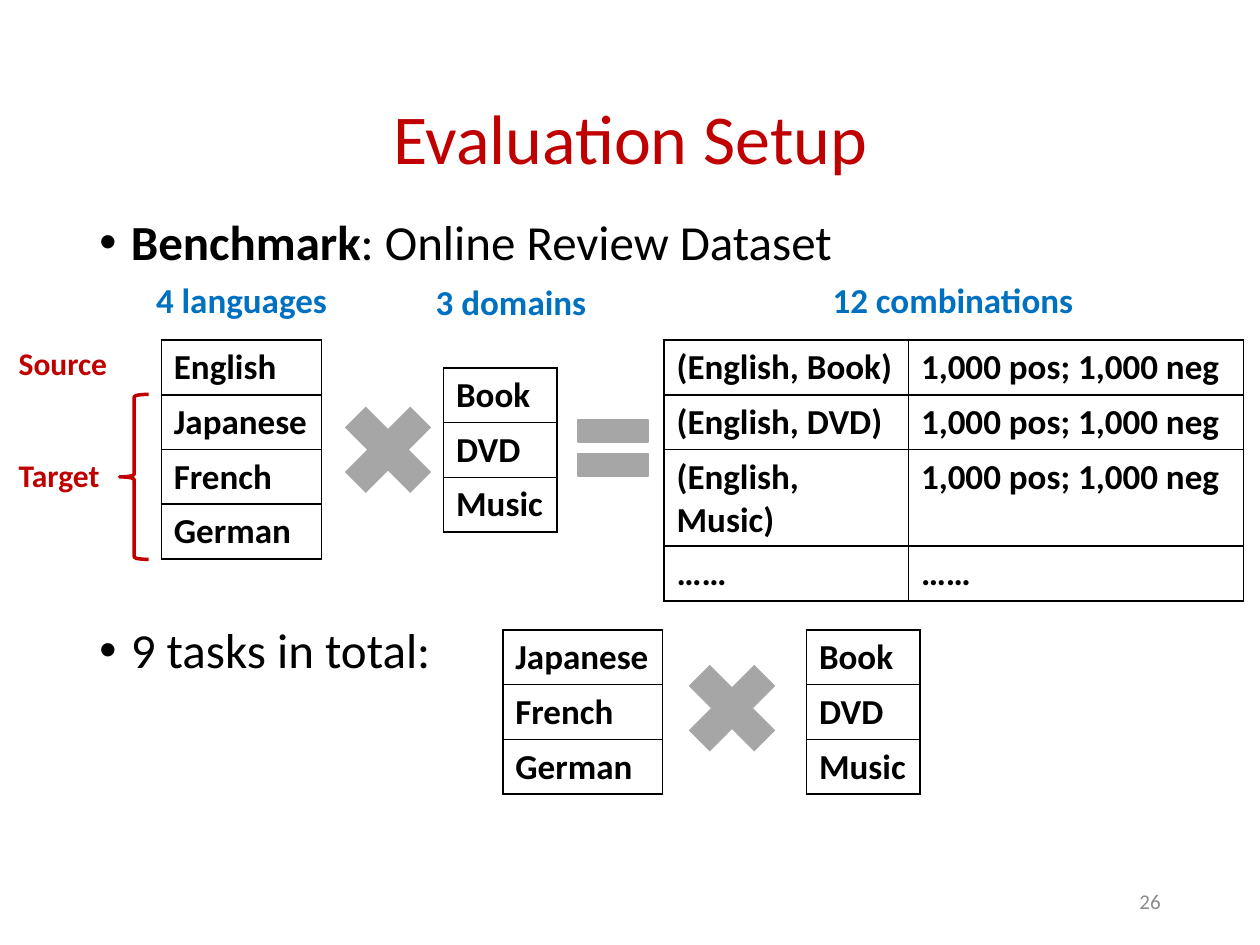
from lxml.etree import SubElement
from pptx import Presentation
from pptx.dml.color import RGBColor
from pptx.enum.shapes import MSO_SHAPE
from pptx.enum.text import MSO_ANCHOR, PP_ALIGN
from pptx.oxml.ns import qn
from pptx.util import Inches, Pt

FONT = "Calibri"
BLACK, RED, BLUE = "000000", "C00000", "0070C0"
GRAY, NUMBER_GRAY = "A6A6A6", "8C8C8C"
ROW_HEIGHT = 0.43

TARGETS = ["Japanese", "French", "German"]
DOMAINS = ["Book", "DVD", "Music"]


def color(value):
    return RGBColor.from_string(value)


def add_run(paragraph, text, size, hex_color=BLACK, bold=False):
    run = paragraph.add_run()
    run.text = text
    run.font.name = FONT
    run.font.size = Pt(size)
    run.font.bold = bold
    run.font.color.rgb = color(hex_color)


def add_text(slide, box, runs, size, hex_color=BLACK, align=PP_ALIGN.LEFT,
             anchor=MSO_ANCHOR.TOP, wrap=False):
    """Add a one-paragraph text box; runs holds (text, bold) pairs."""
    shape = slide.shapes.add_textbox(*map(Inches, box))
    frame = shape.text_frame
    frame.word_wrap = wrap
    frame.vertical_anchor = anchor
    paragraph = frame.paragraphs[0]
    paragraph.alignment = align
    for text, bold in runs:
        add_run(paragraph, text, size, hex_color, bold)
    return paragraph


def add_bullet(slide, box, runs, wrap=False):
    paragraph = add_text(slide, box, runs, 28, wrap=wrap)
    paragraph.line_spacing = 0.9
    paragraph.space_before = Pt(10)
    properties = paragraph._p.get_or_add_pPr()
    properties.set("marL", str(Inches(0.25)))
    properties.set("indent", str(-Inches(0.25)))
    SubElement(properties, qn("a:buFont"), typeface="Arial")
    SubElement(properties, qn("a:buChar"), char="•")


def add_borders(cell):
    properties = cell._tc.get_or_add_tcPr()
    for index, side in enumerate(("lnL", "lnR", "lnT", "lnB")):
        line = SubElement(properties, qn(f"a:{side}"), w=str(Pt(1)))
        fill = SubElement(line, qn("a:solidFill"))
        SubElement(fill, qn("a:srgbClr"), val=BLACK)
        properties.insert(index, line)


def add_grid(slide, left, top, widths, rows):
    frame = slide.shapes.add_table(
        len(rows), len(widths), Inches(left), Inches(top),
        Inches(sum(widths)), Inches(ROW_HEIGHT * len(rows)))
    table = frame.table
    table.first_row = table.horz_banding = False
    for column, width in zip(table.columns, widths):
        column.width = Inches(width)
    for row, texts in zip(table.rows, rows):
        row.height = Inches(ROW_HEIGHT)
        for cell, text in zip(row.cells, texts):
            cell.fill.background()
            add_borders(cell)
            add_run(cell.text_frame.paragraphs[0], text, 20, bold=True)


def add_list(slide, left, top, width, items):
    add_grid(slide, left, top, [width], [[item] for item in items])


def add_symbol(slide, kind, box, fill=None, line=None, line_width=1):
    shape = slide.shapes.add_shape(kind, *map(Inches, box))
    shape.shadow.inherit = False
    if fill:
        shape.fill.solid()
        shape.fill.fore_color.rgb = color(fill)
    else:
        shape.fill.background()
    if line:
        shape.line.color.rgb = color(line)
        shape.line.width = Pt(line_width)
    else:
        shape.line.fill.background()


def main():
    presentation = Presentation()
    presentation.slide_width = Inches(10)
    presentation.slide_height = Inches(7.5)
    slide = presentation.slides.add_slide(presentation.slide_layouts[6])

    # Title and first bullet
    title = add_text(slide, (0.69, 0.4, 8.62, 1.45), [("Evaluation Setup", False)],
                     40, RED, PP_ALIGN.CENTER, MSO_ANCHOR.MIDDLE, wrap=True)
    title.line_spacing = 0.9
    add_bullet(slide, (0.69, 1.68, 8.62, 0.53),
               [("Benchmark", True), (": Online Review Dataset", False)], wrap=True)

    # Languages x domains = combinations
    for text, left, top, width in (("4 languages", 1.14, 2.16, 1.64),
                                   ("3 domains", 3.36, 2.18, 1.42),
                                   ("12 combinations", 6.51, 2.16, 2.13)):
        add_text(slide, (left, top, width, 0.44), [(text, True)], 20, BLUE)
    add_list(slide, 1.28, 2.7, 1.27, ["English"] + TARGETS)
    add_symbol(slide, MSO_SHAPE.MATH_MULTIPLY, (2.58, 3.07, 1, 1), GRAY)
    add_list(slide, 3.52, 2.92, 0.9, DOMAINS)
    add_symbol(slide, MSO_SHAPE.MATH_EQUAL, (4.49, 3.18, 0.75, 0.75), GRAY, GRAY)
    combinations = [[f"(English, {domain})", "1,000 pos; 1,000 neg"]
                    for domain in DOMAINS]
    add_grid(slide, 5.27, 2.7, [1.94, 2.66], combinations + [["……", "……"]])

    # Source and target languages
    add_text(slide, (0.05, 2.68, 0.94, 0.4), [("Source", True)], 18, RED)
    add_text(slide, (0.05, 3.57, 0.91, 0.4), [("Target", True)], 18, RED)
    add_symbol(slide, MSO_SHAPE.LEFT_BRACE, (0.95, 3.13, 0.23, 1.31),
               line=RED, line_width=2)

    # Tasks: target languages x domains
    add_bullet(slide, (0.69, 4.92, 2.96, 0.53), [("9 tasks in total:", False)])
    add_list(slide, 3.99, 5, 1.27, TARGETS)
    add_symbol(slide, MSO_SHAPE.MATH_MULTIPLY, (5.31, 5.12, 1, 1), GRAY)
    add_list(slide, 6.4, 5, 0.9, DOMAINS)

    # Slide number
    add_text(slide, (7.06, 6.95, 2.25, 0.4), [("26", False)], 12, NUMBER_GRAY,
             PP_ALIGN.RIGHT, MSO_ANCHOR.MIDDLE, wrap=True)

    presentation.save("out.pptx")


if __name__ == "__main__":
    main()
